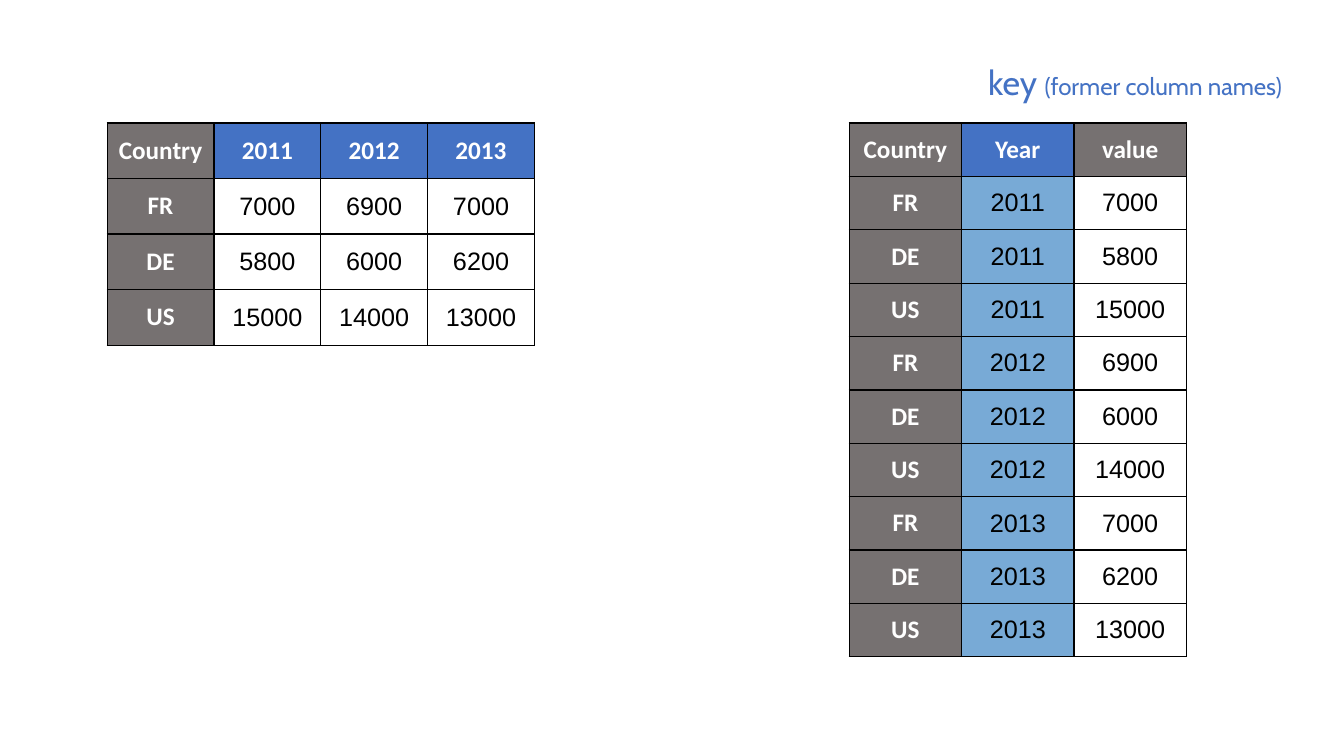
from lxml import etree
from pptx import Presentation
from pptx.dml.color import RGBColor
from pptx.enum import text
from pptx.oxml import ns
from pptx.util import Cm, Pt

GREY = RGBColor(0x76, 0x71, 0x71)
BLUE = RGBColor(0x44, 0x72, 0xC4)
LIGHT = RGBColor(0x78, 0xAA, 0xD6)
WHITE = RGBColor(0xFF, 0xFF, 0xFF)
BLACK = RGBColor(0x00, 0x00, 0x00)

YEARS = ["2011", "2012", "2013"]
SALES = {
    "FR": ["7000", "6900", "7000"],
    "DE": ["5800", "6000", "6200"],
    "US": ["15000", "14000", "13000"],
}


def add_edge(cell):
    """Draw a thin black line on all four sides of a cell."""
    props = cell._tc.get_or_add_tcPr()
    for side in ("lnL", "lnR", "lnT", "lnB"):
        line = etree.SubElement(props, ns.qn(f"a:{side}"), w=str(Pt(1)))
        fill = etree.SubElement(line, ns.qn("a:solidFill"))
        etree.SubElement(fill, ns.qn("a:srgbClr"), val=str(BLACK))


def fill_cell(cell, label, shade, head):
    """Write one centred label, bold and white when it is a heading."""
    add_edge(cell)
    cell.margin_left = cell.margin_right = Cm(0.08)
    cell.margin_top = cell.margin_bottom = Cm(0.08)
    cell.vertical_anchor = text.MSO_ANCHOR.MIDDLE
    if shade is None:
        cell.fill.background()
    else:
        cell.fill.solid()
        cell.fill.fore_color.rgb = shade
    cell.text_frame.text = label
    para = cell.text_frame.paragraphs[0]
    para.alignment = text.PP_ALIGN.CENTER
    font = para.runs[0].font
    font.name = "Calibri" if head else "Arial"
    font.size = Pt(18)
    font.bold = head
    font.color.rgb = WHITE if head else BLACK


def add_grid(slide, left, top, width, height, rows, heads, shades):
    """Fill the box with an even table; heads and shades colour each column."""
    frame = slide.shapes.add_table(len(rows), len(heads), left, top, width, height)
    table = frame.table
    table.first_row = table.horz_banding = False
    for col in table.columns:
        col.width = width // len(heads)
    for r, row in enumerate(rows):
        table.rows[r].height = height // len(rows)
        for c, label in enumerate(row):
            shade = shades[c] if r else heads[c]
            fill_cell(table.cell(r, c), label, shade, r == 0 or c == 0)


def add_wide(slide, left, top, width, height):
    """Place the table with one column per year."""
    rows = [["Country", *YEARS]]
    rows += [[land, *vals] for land, vals in SALES.items()]
    add_grid(slide, left, top, width, height, rows,
             [GREY, BLUE, BLUE, BLUE], [GREY, None, None, None])


def add_long(slide, left, top, width, height):
    """Place the table with one row per country and year."""
    rows = [["Country", "Year", "value"]]
    rows += [[land, year, vals[i]]
             for i, year in enumerate(YEARS) for land, vals in SALES.items()]
    add_grid(slide, left, top, width, height, rows,
             [GREY, BLUE, GREY], [GREY, LIGHT, None])


def add_key(slide, left, top, width, height):
    """Place the caption that explains the year column."""
    frame = slide.shapes.add_textbox(left, top, width, height).text_frame
    frame.word_wrap = True
    frame.vertical_anchor = text.MSO_ANCHOR.MIDDLE
    frame.margin_left = frame.margin_right = Cm(0.1)
    frame.margin_top = frame.margin_bottom = Cm(0.1)
    para = frame.paragraphs[0]
    for label, size in (("key ", 24.4), ("(former column names)", 17.2)):
        run = para.add_run()
        run.text = label
        run.font.name = "Cabin"
        run.font.size = Pt(size)
        run.font.color.rgb = BLUE


def main():
    """Build the slide and save it."""
    deck = Presentation()
    deck.slide_width, deck.slide_height = Cm(33.87), Cm(19.05)
    slide = deck.slides.add_slide(deck.slide_layouts[6])
    add_wide(slide, Cm(2.7), Cm(3.1), Cm(10.77), Cm(5.6))
    add_long(slide, Cm(21.4), Cm(3.1), Cm(8.5), Cm(13.45))
    add_key(slide, Cm(24.8), Cm(1.43), Cm(9), Cm(1.27))
    deck.save("out.pptx")


if __name__ == "__main__":
    main()
